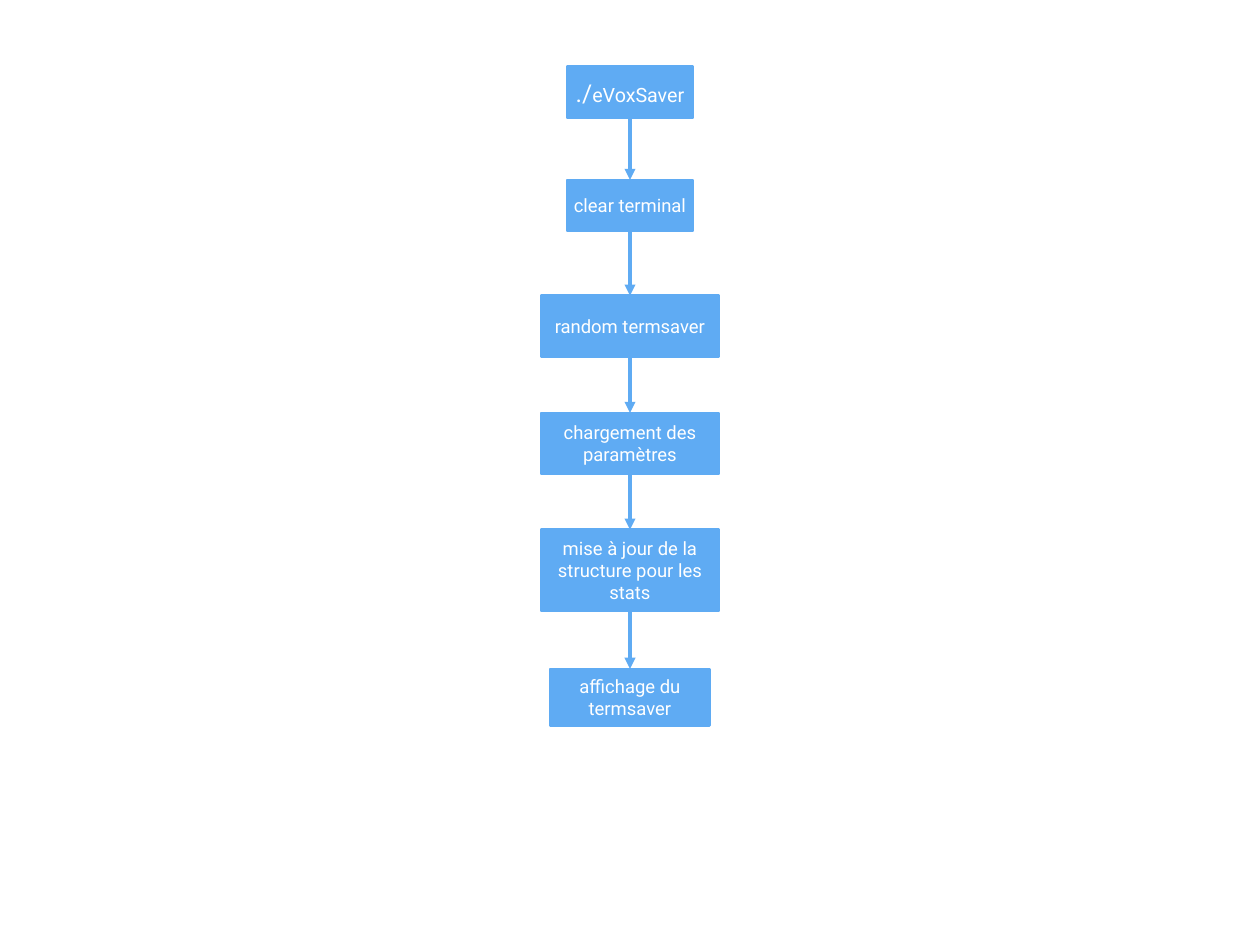
from dataclasses import dataclass
from itertools import pairwise

from lxml.etree import SubElement
from pptx import Presentation
from pptx.dml.color import RGBColor
from pptx.enum.shapes import MSO_CONNECTOR, MSO_SHAPE
from pptx.enum.text import MSO_ANCHOR, PP_ALIGN
from pptx.oxml.ns import qn
from pptx.shapes.autoshape import Shape
from pptx.slide import Slide
from pptx.util import Cm, Pt

BLUE = "5FABF3"
WHITE = "FFFFFF"
CENTRE = 18.06
BOTTOM_SITE, TOP_SITE = 2, 0


@dataclass(frozen=True)
class Step:
    """One box of the flow; lengths in cm, runs as (text, size) pairs."""
    top: float
    width: float
    height: float
    runs: tuple[tuple[str, int], ...]


STEPS = [
    Step(1.91, 3.61, 1.47, (("./", 20), ("eVoxSaver", 16))),
    Step(5.16, 3.61, 1.47, (("clear terminal", 15),)),
    Step(8.48, 5.11, 1.75, (("random termsaver", 15),)),
    Step(11.84, 5.11, 1.75, (("chargement des paramètres", 15),)),
    Step(15.19, 5.11, 2.34, (("mise à jour de la structure pour les stats", 15),)),
    Step(19.18, 4.57, 1.63, (("affichage du termsaver", 15),)),
]


def rgb(value: str) -> RGBColor:
    return RGBColor.from_string(value)


def add_text(p, text: str, *, size: int, font: str = "Roboto", color: str = WHITE) -> None:
    r = p.add_run()
    r.text = text
    r.font.size = Pt(size)
    r.font.name = font
    r.font.color.rgb = rgb(color)


def add_step(s: Slide, step: Step) -> Shape:
    sp = s.shapes.add_shape(MSO_SHAPE.RECTANGLE, Cm(CENTRE - step.width / 2),
                            Cm(step.top), Cm(step.width), Cm(step.height))
    sp.shadow.inherit = False
    sp.fill.solid()
    sp.fill.fore_color.rgb = rgb(BLUE)
    sp.line.color.rgb = rgb(BLUE)
    sp.line.width = Pt(2)
    tf = sp.text_frame
    tf.word_wrap = True
    tf.vertical_anchor = MSO_ANCHOR.MIDDLE
    tf.margin_left = tf.margin_right = tf.margin_top = tf.margin_bottom = Cm(0.15)
    p = tf.paragraphs[0]
    p.alignment = PP_ALIGN.CENTER
    for text, size in step.runs:
        add_text(p, text, size=size)
    return sp


def add_arrow(s: Slide, start: Shape, end: Shape) -> None:
    cxn = s.shapes.add_connector(MSO_CONNECTOR.STRAIGHT, 0, 0, 0, 0)
    cxn.begin_connect(start, BOTTOM_SITE)
    cxn.end_connect(end, TOP_SITE)
    cxn.line.color.rgb = rgb(BLUE)
    cxn.line.width = Pt(3)
    SubElement(cxn.line._get_or_add_ln(), qn("a:tailEnd"), type="triangle")
    SubElement(cxn._element.spPr, qn("a:effectLst"))


def main() -> None:
    prs = Presentation()
    prs.slide_width, prs.slide_height = Cm(36.12), Cm(27.1)
    s = prs.slides.add_slide(prs.slide_layouts[6])

    # Boxes of the flow, top to bottom
    boxes = [add_step(s, step) for step in STEPS]

    # Arrows between neighbours
    for start, end in pairwise(boxes):
        add_arrow(s, start, end)

    prs.save("out.pptx")


if __name__ == "__main__":
    main()
